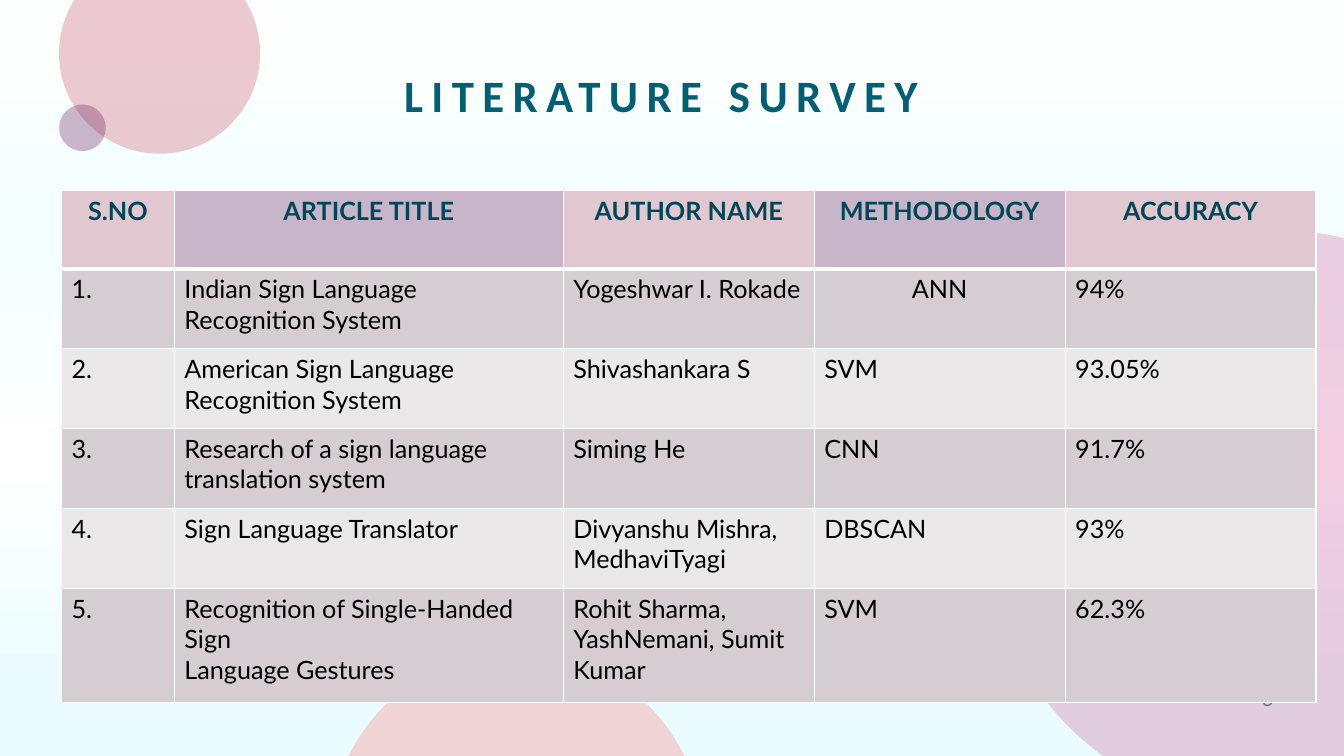
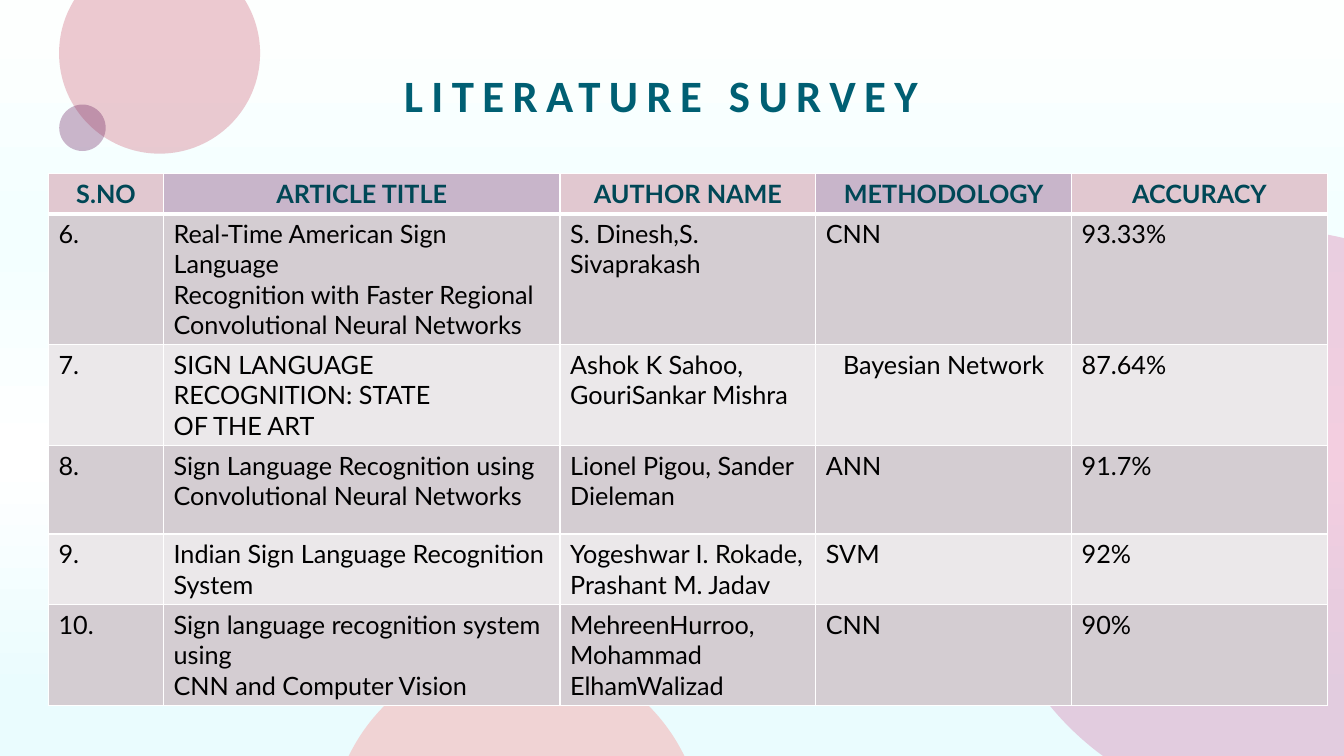
from math import cos, radians, sin, tan

from lxml.etree import SubElement
from pptx import Presentation
from pptx.dml.color import RGBColor
from pptx.enum.shapes import MSO_SHAPE
from pptx.enum.text import MSO_ANCHOR, PP_ALIGN
from pptx.oxml.ns import qn
from pptx.util import Pt

COLORS = {
    "title": "005F73", "header": "004756", "body": "000000", "number": "767171",
    "pink": "E1C8D0", "lilac": "C8B5CA", "dark_row": "D4CDD2", "light_row": "EBE8EA",
    "border": "FFFFFF", "magenta": "C40C67", "rose": "C74F66", "coral": "FF7675",
    "plum": "6A205F",
}
BACKGROUND = [(8, "EAFCFE"), (39, "FFFFFF"), (69, "F3FFFF"), (98, "FDFFFE")]
WIDTH, HEIGHT = 960, 540
HEADERS = ["S.NO", "ARTICLE TITLE", "AUTHOR NAME", "METHODOLOGY", "ACCURACY"]
COLUMN_SHARES = [0.09, 0.31, 0.2, 0.2, 0.2]


class Deck:
    def __init__(self):
        self.prs = Presentation()
        self.prs.slide_width, self.prs.slide_height = Pt(WIDTH), Pt(HEIGHT)
        self.s = None
        self.background()

    def background(self):
        fill = self.prs.slide_master.background.fill
        fill.gradient()
        fill.gradient_angle = 90
        stops = self.prs.slide_master.element.find(".//" + qn("a:gsLst"))
        for stop in list(stops):
            stops.remove(stop)
        for position, color in BACKGROUND:
            stop = SubElement(stops, qn("a:gs"), pos=str(position * 1000))
            SubElement(stop, qn("a:srgbClr"), val=color)

    def slide(self, title, number):
        self.s = self.prs.slides.add_slide(self.prs.slide_layouts[6])
        # Decorative circles, cut at the slide edges
        self.arc(910.8, 372.2, 208, [126.2, 180, 270, 283.7], "magenta", 20,
                 [(WIDTH, HEIGHT)])
        self.arc(114, 38, 71.8, [-32, 0, 90, 180, 212], "rose", 30)
        self.arc(369, 598.3, 133.3, [205.9, 270, 334.1], "coral", 30)
        dot = self.s.shapes.add_shape(MSO_SHAPE.OVAL, Pt(42.3), Pt(74.7), Pt(33.2), Pt(33.2))
        self.tint(dot, "plum", 33)
        # Title and slide number
        self.text(title, 34.6, 44.6, 875.5, 50.4, PP_ALIGN.CENTER, MSO_ANCHOR.MIDDLE, 0.9,
                  "title", 32, "Calibri", bold=True, spacing=6)
        self.text(number, 700.6, 487.4, 216, 28.8, PP_ALIGN.RIGHT, MSO_ANCHOR.TOP, 1,
                  "number", 14)

    def tint(self, sp, color, opacity):
        sp.shadow.inherit = False
        sp.fill.solid()
        sp.fill.fore_color.rgb = RGBColor.from_string(COLORS[color])
        rgb = sp.element.find(".//" + qn("a:srgbClr"))
        SubElement(rgb, qn("a:alpha"), val=str(opacity * 1000))
        sp.line.fill.background()

    def arc(self, cx, cy, radius, degrees, color, opacity, corners=()):
        angles = [radians(d) for d in degrees]
        points = [(cx + radius * cos(a), cy + radius * sin(a)) for a in angles]
        outline = [(Pt(x), Pt(y)) for x, y in points + list(corners)]
        builder = self.s.shapes.build_freeform(*outline[0])
        builder.add_line_segments(outline[1:], close=True)
        sp = builder.convert_to_shape()
        # Turn each segment between two angles into a curve
        segments = list(sp.element.iter(qn("a:lnTo")))
        for i, segment in enumerate(segments[:len(angles) - 1]):
            a, b = angles[i], angles[i + 1]
            (x1, y1), (x2, y2) = points[i], points[i + 1]
            reach = radius * 4 / 3 * tan((b - a) / 4)
            controls = [(x1 - reach * sin(a), y1 + reach * cos(a)),
                        (x2 + reach * sin(b), y2 - reach * cos(b))]
            segment.tag = qn("a:cubicBezTo")
            for k, (x, y) in enumerate(controls):
                pt = SubElement(segment, qn("a:pt"), x=str(Pt(x) - sp.left),
                                y=str(Pt(y) - sp.top))
                segment.insert(k, pt)
        self.tint(sp, color, opacity)

    def run(self, p, text, color, size, font="Lato", bold=False, spacing=0):
        for i, line in enumerate(text.split("\n")):
            if i:
                p.add_line_break()
            r = p.add_run()
            r.text = line
            r.font.size, r.font.name, r.font.bold = Pt(size), font, bold
            r.font.color.rgb = RGBColor.from_string(COLORS[color])
            if spacing:
                r.font._element.set("spc", str(spacing * 100))

    def text(self, text, x, y, w, h, align, anchor, leading, *style, **options):
        tf = self.s.shapes.add_textbox(Pt(x), Pt(y), Pt(w), Pt(h)).text_frame
        tf.word_wrap = True
        tf.vertical_anchor = anchor
        p = tf.paragraphs[0]
        p.alignment, p.line_spacing = align, leading
        self.run(p, text, *style, **options)

    def cell(self, cell, text, fill, head, centered):
        cell.fill.solid()
        cell.fill.fore_color.rgb = RGBColor.from_string(COLORS[fill])
        p = cell.text_frame.paragraphs[0]
        p.alignment = PP_ALIGN.CENTER if centered else PP_ALIGN.LEFT
        self.run(p, text, "header" if head else "body", 18, bold=head)
        if head:
            self.borders(cell)

    def borders(self, cell):
        # Borders come before the fill in the cell properties
        props = cell._tc.get_or_add_tcPr()
        for i, (side, width) in enumerate(zip("LRTB", (1, 1, 1, 3))):
            ln = SubElement(props, qn("a:ln" + side), w=str(Pt(width)))
            solid = SubElement(ln, qn("a:solidFill"))
            SubElement(solid, qn("a:srgbClr"), val=COLORS["border"])
            props.insert(i, ln)

    def table(self, x, y, w, heights, first, articles, centered):
        rows = [HEADERS] + [[f"{n}.", *row] for n, row in enumerate(articles, first)]
        table = self.s.shapes.add_table(len(rows), len(HEADERS), Pt(x), Pt(y),
                                        Pt(w), Pt(sum(heights))).table
        for column, share in zip(table.columns, COLUMN_SHARES):
            column.width = Pt(w * share)
        for i, (row, height) in enumerate(zip(rows, heights)):
            table.rows[i].height = Pt(height)
            head = i == 0
            for j, text in enumerate(row):
                fill = ("pink", "lilac")[j % 2] if head else ("light_row", "dark_row")[i % 2]
                self.cell(table.cell(i, j), text, fill, head, head or (i, j) == centered)


def main():
    deck = Deck()

    # Articles 1 to 5
    deck.slide("LITERATURE SURVEY", "6")
    deck.table(43.9, 136, 896.2, [56.1, 57.1, 57.1, 57.1, 57.1, 81.4], 1, [
        ("Indian Sign Language Recognition System", "Yogeshwar I. Rokade", "ANN", "94%"),
        ("American Sign Language Recognition System", "Shivashankara S", "SVM", "93.05%"),
        ("Research of a sign language translation system", "Siming He", "CNN", "91.7%"),
        ("Sign Language Translator", "Divyanshu Mishra, MedhaviTyagi", "DBSCAN", "93%"),
        ("Recognition of Single-Handed Sign\nLanguage Gestures",
         "Rohit Sharma, YashNemani, Sumit Kumar", "SVM", "62.3%"),
    ], centered=(1, 3))

    # Articles 6 to 10
    deck.slide("LITERATURE SURVEY", "7")
    deck.table(34.6, 123.8, 913.6, [19.5, 93, 49, 63.2, 49, 49], 6, [
        ("Real-Time American Sign Language\nRecognition with Faster Regional\n"
         "Convolutional Neural Networks", "S. Dinesh,S. Sivaprakash", "CNN", "93.33%"),
        ("SIGN LANGUAGE RECOGNITION: STATE\nOF THE ART",
         "Ashok K Sahoo, GouriSankar Mishra", "Bayesian Network", "87.64%"),
        ("Sign Language Recognition using\nConvolutional Neural Networks",
         "Lionel Pigou, Sander Dieleman", "ANN", "91.7%"),
        ("Indian Sign Language Recognition System",
         "Yogeshwar I. Rokade, Prashant M. Jadav", "SVM", "92%"),
        ("Sign language recognition system using\nCNN and Computer Vision",
         "MehreenHurroo, Mohammad\nElhamWalizad", "CNN", "90%"),
    ], centered=(2, 3))

    deck.prs.save("out.pptx")


if __name__ == "__main__":
    main()
